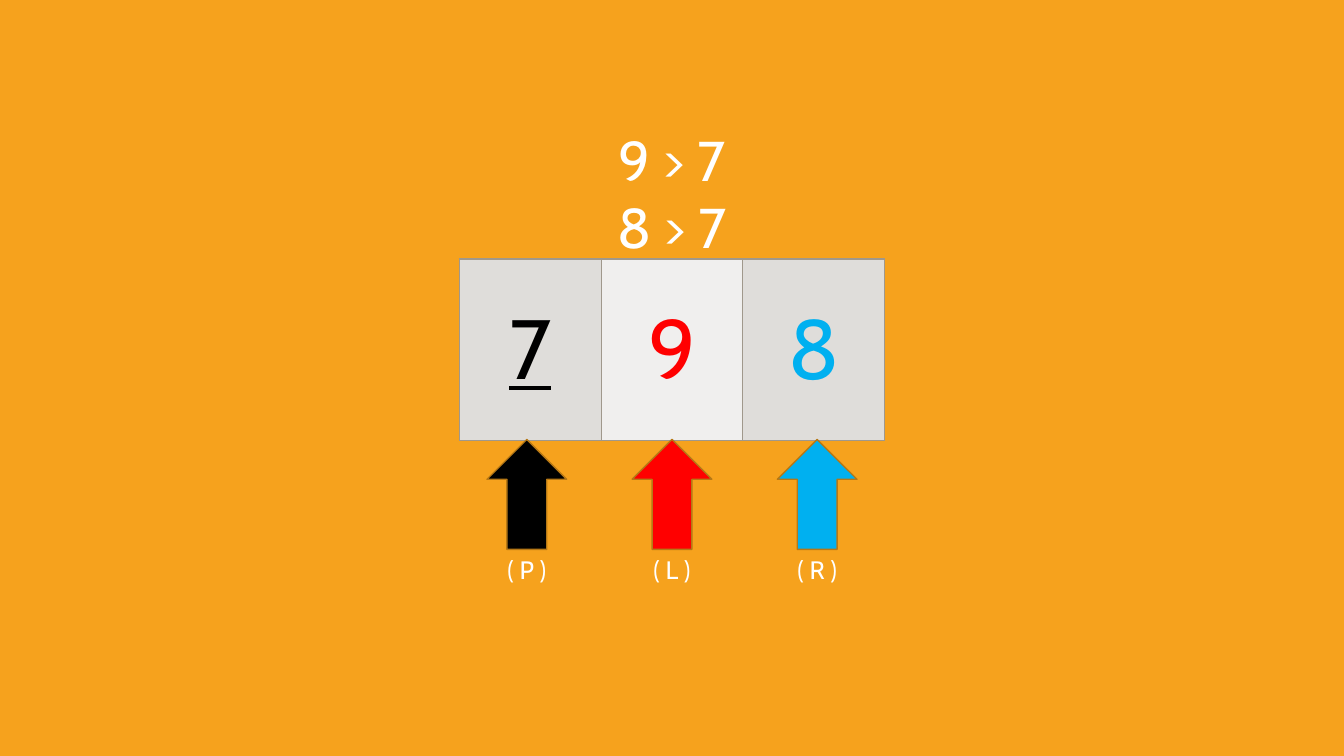
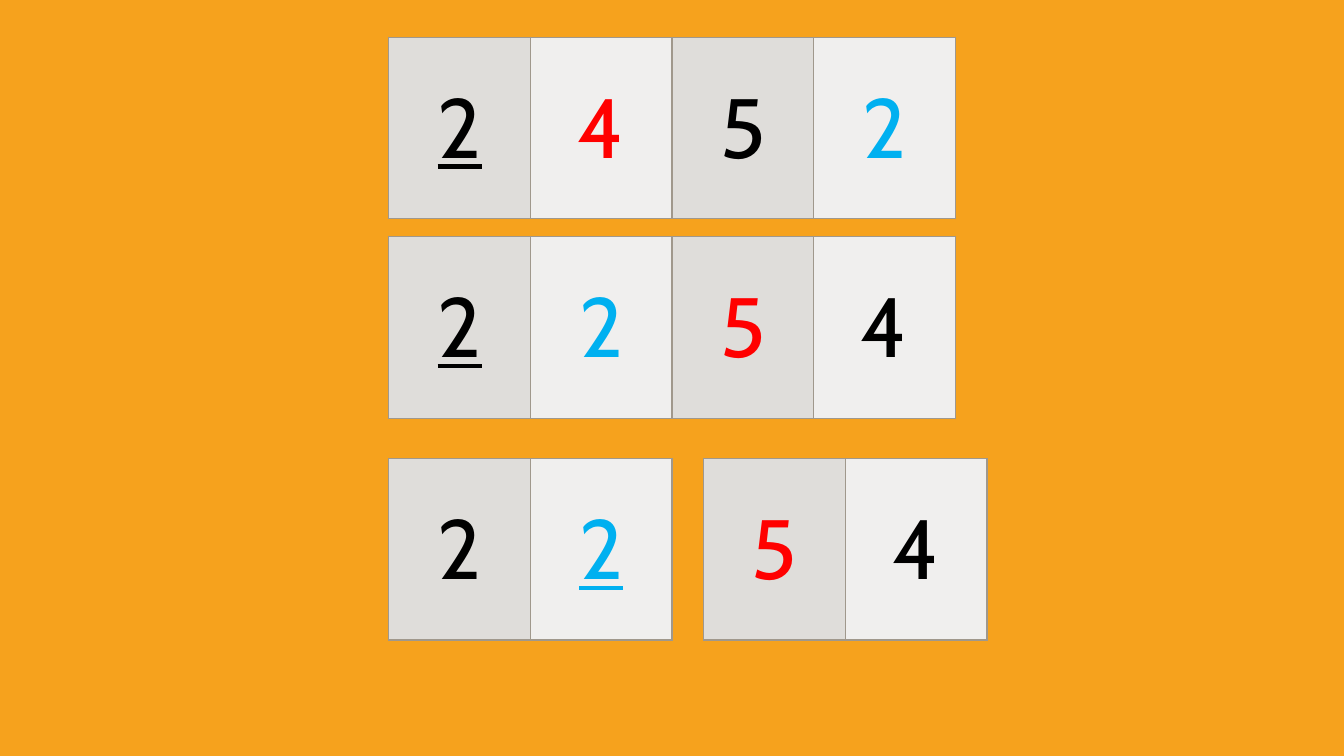
"""Two quicksort slides: comparing against the pivot, then partitioning."""
from lxml import etree
from pptx import Presentation, util as u
from pptx.dml.color import RGBColor
from pptx.enum import shapes, text
from pptx.oxml.ns import qn

ORANGE = RGBColor(0xF6, 0xA2, 0x1D)
BROWN = RGBColor(0xB6, 0x78, 0x15)
BLACK = RGBColor(0x00, 0x00, 0x00)
WHITE = RGBColor(0xFF, 0xFF, 0xFF)
RED = RGBColor(0xFF, 0x00, 0x00)
BLUE = RGBColor(0x00, 0xB0, 0xF0)
GREY = RGBColor(0xDF, 0xDD, 0xDA)
PALE = RGBColor(0xF0, 0xEF, 0xEE)
BORDER = RGBColor(0xA0, 0x98, 0x8C)

prs = Presentation()
prs.slide_width, prs.slide_height = u.Inches(13.33), u.Inches(7.5)
fill = prs.slide_master.background.fill
fill.solid()
fill.fore_color.rgb = ORANGE
TITLE_ONLY, BLANK = prs.slide_layouts[5], prs.slide_layouts[6]

MIDDLE = prs.slide_width // 2
CELL_W, CELL_H = u.Inches(5.62) // 4, u.Inches(1.8)


def write(tf, lines, size, color, underline=False):
    """Fill a text frame with centred lines in the deck's font."""
    tf.text = "\n".join(lines)
    for p in tf.paragraphs:
        p.alignment = text.PP_ALIGN.CENTER
        look = {"name": "Cabin", "size": u.Pt(size), "bold": False, "underline": underline}
        for r in p.runs:
            for key, value in look.items():
                setattr(r.font, key, value)
            r.font.color.rgb = color


def add_array(s, left, top, digits, colors, pivot=None):
    """Draw an array as a one-row table, underlining the pivot."""
    count = len(digits)
    table = s.shapes.add_table(1, count, left, top, CELL_W * count, CELL_H).table
    table.first_row = table.horz_banding = False
    for i, (digit, color) in enumerate(zip(digits, colors)):
        cell = table.cell(0, i)
        table.columns[i].width = CELL_W
        cell.vertical_anchor = text.MSO_ANCHOR.MIDDLE
        write(cell.text_frame, [digit], 60, color, i == pivot)
        cell.fill.solid()
        cell.fill.fore_color.rgb = PALE if i % 2 else GREY
        props = cell._tc.get_or_add_tcPr()
        for n, side in enumerate(("lnL", "lnR", "lnT", "lnB")):
            ln = etree.Element(qn("a:" + side), w=str(u.Pt(1)))
            solid = etree.SubElement(ln, qn("a:solidFill"))
            etree.SubElement(solid, qn("a:srgbClr"), val=str(BORDER))
            props.insert(n, ln)


s = prs.slides.add_slide(TITLE_ONLY)
title = s.shapes.title
title.width, title.height = u.Inches(7.44), u.Inches(1.38)
title.left, title.top = MIDDLE - title.width // 2, u.Inches(1.19)
tf = title.text_frame
tf.auto_size = text.MSO_AUTO_SIZE.NONE
tf.vertical_anchor = text.MSO_ANCHOR.TOP
write(tf, ["9 > 7", "8 > 7"], 40, WHITE)

array_top = title.top + title.height
add_array(s, MIDDLE - CELL_W * 3 // 2, array_top, "798", [BLACK, RED, BLUE], pivot=0)

ARROW_W, ARROW_H, PITCH = u.Inches(0.79), u.Inches(1.09), u.Inches(1.44)
LABEL_W, LABEL_H = u.Inches(1.63), u.Inches(0.4)
arrow_top = u.Inches(4.36)
for i, (letter, color) in enumerate(zip("PLR", [BLACK, RED, BLUE])):
    center = MIDDLE + (i - 1) * PITCH
    pointer = s.shapes.add_group_shape()
    arrow = pointer.shapes.add_shape(
        shapes.MSO_SHAPE.UP_ARROW, center - ARROW_W // 2, arrow_top, ARROW_W, ARROW_H)
    arrow.shadow.inherit = False
    arrow.fill.solid()
    arrow.fill.fore_color.rgb = color
    arrow.line.color.rgb = BROWN
    arrow.line.width = u.Pt(1)
    label = pointer.shapes.add_textbox(
        center - LABEL_W // 2, arrow_top + ARROW_H, LABEL_W, LABEL_H)
    label.text_frame.word_wrap = True
    write(label.text_frame, [f"( {letter} )"], 18, WHITE)

s = prs.slides.add_slide(BLANK)
left = MIDDLE - CELL_W * 2
right_half = u.Inches(6.98)
for x, top, digits, colors, pivot in [
    (left, 0.37, "2452", [BLACK, RED, BLACK, BLUE], 0),
    (left, 2.35, "2254", [BLACK, BLUE, RED, BLACK], 0),
    (left, 4.55, "22", [BLACK, BLUE], 1),
    (right_half, 4.55, "54", [RED, BLACK], None),
]:
    add_array(s, x, u.Inches(top), digits, colors, pivot)

prs.save("out.pptx")
